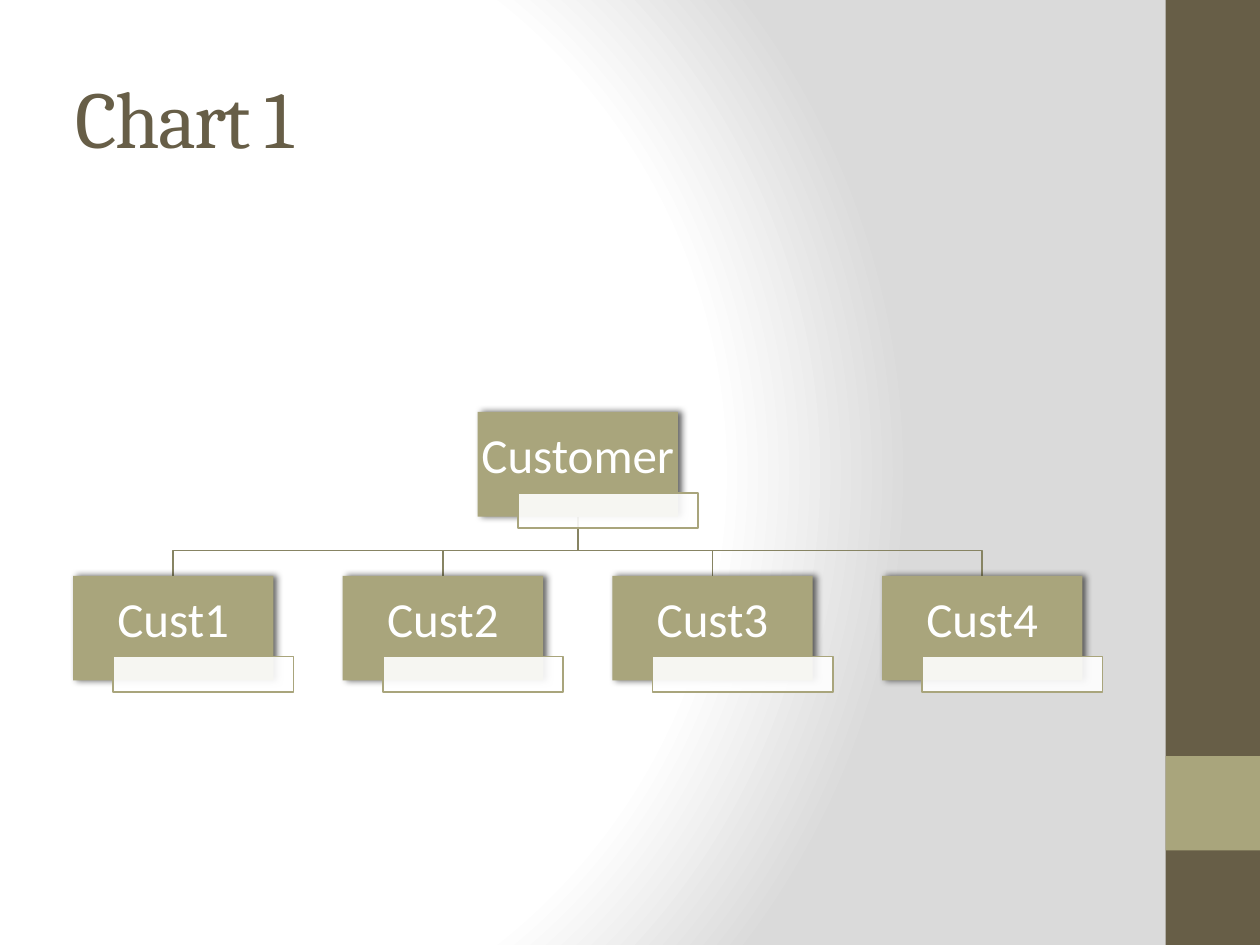
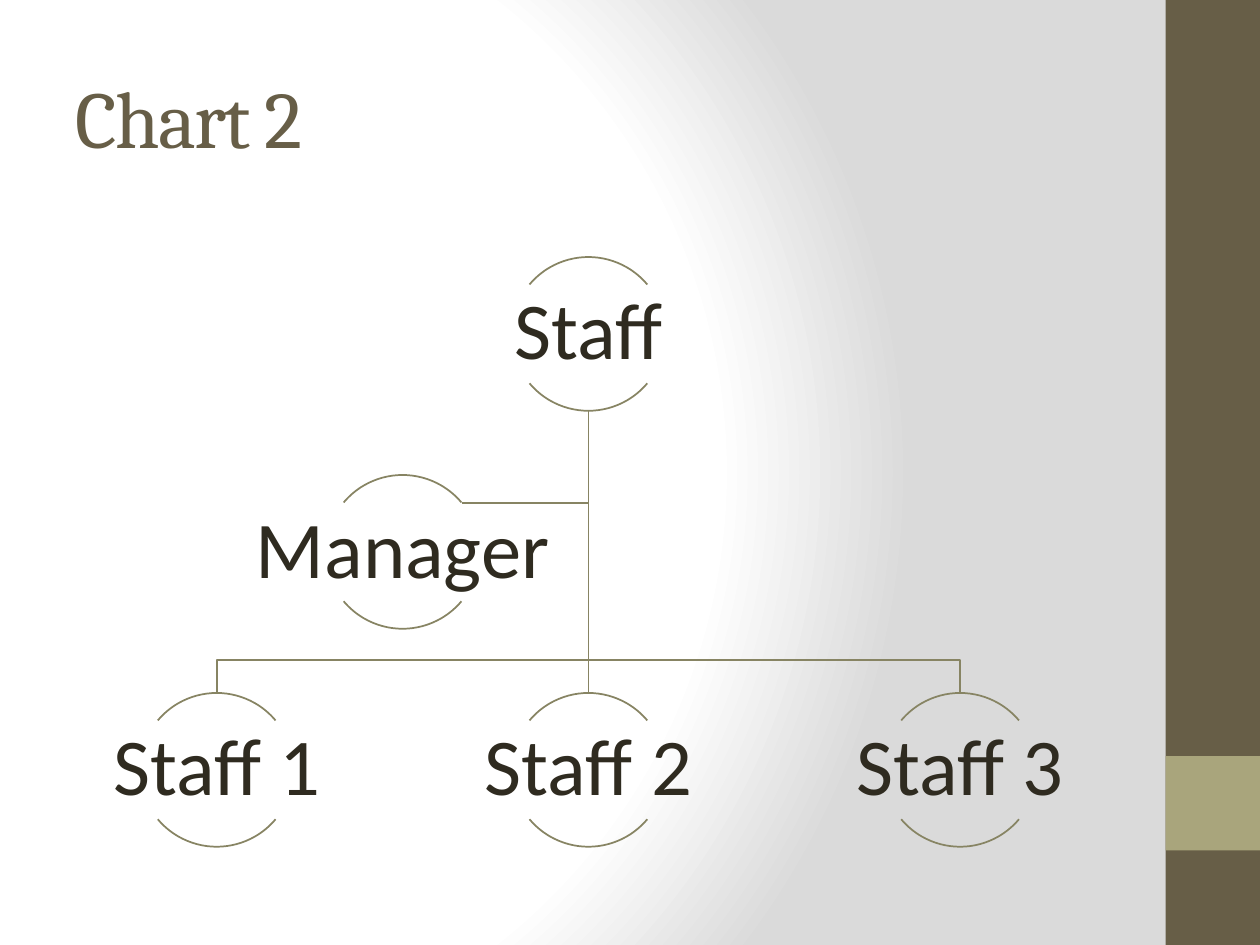
from lxml import etree
from pptx import Presentation
from pptx.dml.color import RGBColor
from pptx.enum.shapes import MSO_CONNECTOR, MSO_SHAPE as SHAPE
from pptx.enum.text import MSO_ANCHOR as ANCHOR, MSO_AUTO_SIZE, PP_ALIGN as ALIGN
from pptx.oxml import parse_xml
from pptx.oxml.ns import nsdecls, qn
from pptx.util import Inches, Pt

COLORS = {"band": "675E47", "accent": "A9A57C", "line": "878463",
          "white": "FFFFFF", "grey": "DADADA", "ink": "2F2B20", "shadow": "000000"}
HEAD_FONT, BODY_FONT = "Cambria", "Calibri"
WIDTH, HEIGHT = 10, 7.5

# Customer chart: boxes on a grid
BOX_W, BOX_H = 1.59, 0.83
BOX_LEFT, BOX_TOP, BOX_COL, BOX_ROW = 0.58, 3.27, 2.14, 1.3
TAG_DX, TAG_DY, TAG_W, TAG_H = 0.32, 0.64, 1.43, 0.28

# Staff chart: rings on a grid
RING = 1.22
RING_LEFT, RING_TOP, RING_COL, RING_ROW = 1.11, 2.04, 2.95, 1.73
NAME_W, NAME_H = 2*RING, 0.78
NAME_DY = (RING - NAME_H) / 2
ARC_END_DX = 0.47
ARCS = ((132, 192), (24, 84))  # top and bottom, in units of 100000/60000 degrees


def rgb(name):
    """Return a palette colour."""
    return RGBColor.from_string(COLORS[name])


def inches(*lengths):
    """Convert several lengths to EMU."""
    return [Inches(n) for n in lengths]


def style(sp, fill=None, line=None):
    """Set fill and outline, without the theme's shadow."""
    sp.shadow.inherit = False
    if fill:
        sp.fill.solid()
        sp.fill.fore_color.rgb = rgb(fill)
    else:
        sp.fill.background()
    if line:
        sp.line.color.rgb = rgb(line)
        sp.line.width = Pt(1)
    else:
        sp.line.fill.background()


def add_preset(slide, kind, box, fill=None, line=None):
    """Add a styled preset shape."""
    sp = slide.shapes.add_shape(kind, *inches(*box))
    style(sp, fill, line)
    return sp


def write(sp, text, size, color, font=BODY_FONT, align=ALIGN.CENTER, insets=None):
    """Write one run, anchored in the middle."""
    tf = sp.text_frame
    tf.word_wrap = True
    tf.auto_size = MSO_AUTO_SIZE.NONE
    tf.vertical_anchor = ANCHOR.MIDDLE
    if insets:
        (tf.margin_left, tf.margin_top,
         tf.margin_right, tf.margin_bottom) = inches(*insets)
    p = tf.paragraphs[0]
    p.alignment = align
    r = p.add_run()
    r.text = text
    r.font.size, r.font.name = Pt(size), font
    r.font.color.rgb = rgb(color)
    return p, r


def add_link(slide, *points):
    """Draw a bent line, or a connector when it is straight."""
    pts = [tuple(inches(*pt)) for pt in points]
    if len(pts) == 2:
        line = slide.shapes.add_connector(MSO_CONNECTOR.STRAIGHT, *pts[0], *pts[1])
        line.line.color.rgb = rgb("line")
        line.line.width = Pt(1)
        etree.SubElement(line.element.spPr, qn("a:effectLst"))
        return
    builder = slide.shapes.build_freeform(*pts[0])
    builder.add_line_segments(pts[1:], close=False)
    style(builder.convert_to_shape(), line="line")


def add_shadow(sp):
    """Give a box a soft shadow to its right."""
    effects = sp.element.spPr.find(qn("a:effectLst"))
    effects.append(parse_xml(
        f'<a:outerShdw {nsdecls("a")} blurRad="{Pt(4)}" dist="{Pt(2)}" dir="0" '
        f'rotWithShape="0"><a:srgbClr val="{COLORS["shadow"]}">'
        '<a:alpha val="60000"/></a:srgbClr></a:outerShdw>'))


def set_background(master):
    """Give the master its radial gradient."""
    master.background.fill.solid()
    bg = master.element.find(".//" + qn("p:bgPr"))
    stops = "".join(
        f'<a:gs pos="{pos * 1000}"><a:srgbClr val="{COLORS[name]}"/></a:gs>'
        for pos, name in ((0, "white"), (75, "white"), (100, "grey")))
    bg.replace(bg[0], parse_xml(
        f'<a:gradFill {nsdecls("a")} rotWithShape="1"><a:gsLst>{stops}</a:gsLst>'
        '<a:path path="circle"><a:fillToRect l="20000" t="50000" r="100000" b="50000"/>'
        '</a:path></a:gradFill>'))


def add_bands(slide, master):
    """Make the side bands and move them to the master, behind its text."""
    side = WIDTH * 0.075
    left = WIDTH - side
    bands = (((left, 0, side, HEIGHT), "band"),
             ((left, HEIGHT * 0.8, side, side), "accent"))
    for i, (box, color) in enumerate(bands):
        sp = add_preset(slide, SHAPE.RECTANGLE, box, color)
        master.shapes.element.insert(2 + i, sp.element)


def add_titled_slide(prs, title):
    """Add a title-only slide."""
    slide = prs.slides.add_slide(prs.slide_layouts[5])
    sp = slide.shapes.title
    sp.left, sp.top, sp.width, sp.height = inches(0.5, 0.3, 8.33, 1.25)
    _, r = write(sp, title, 46, "band", HEAD_FONT, ALIGN.LEFT)
    r.font._element.set("spc", "-100")
    return slide


def add_box(slide, text, col, row):
    """Add a shadowed box with its empty tag at a grid place."""
    x, y = BOX_LEFT + col*BOX_COL, BOX_TOP + row*BOX_ROW
    sp = add_preset(slide, SHAPE.RECTANGLE, (x, y, BOX_W, BOX_H), "accent")
    add_shadow(sp)
    p, _ = write(sp, text, 28, "white", insets=(0.02, 0.02, 0.02, 0.12))
    p.line_spacing = 0.9
    tag = add_preset(slide, SHAPE.RECTANGLE,
                     (x + TAG_DX, y + TAG_DY, TAG_W, TAG_H), "white", "accent")
    color = tag.element.spPr.find(qn("a:solidFill"))[0]
    etree.SubElement(color, qn("a:alpha"), val="90000")


def add_ring(slide, text, col, row):
    """Add a name between two arcs at a grid place."""
    x, y = RING_LEFT + col*RING_COL, RING_TOP + row*RING_ROW
    for start, end in ARCS:
        arc = add_preset(slide, SHAPE.ARC, (x, y, RING, RING), line="line")
        arc.adjustments[0], arc.adjustments[1] = start, end
    sp = slide.shapes.add_textbox(
        *inches(x + (RING - NAME_W)/2, y + NAME_DY, NAME_W, NAME_H))
    p, _ = write(sp, text, 46, "ink", insets=(0.03,)*4)
    p.line_spacing = 0.9


def draw_customers(slide):
    """Draw the customer and its four branches."""
    names = ("Cust1", "Cust2", "Cust3", "Cust4")
    root = (len(names) - 1) / 2
    start, end = BOX_TOP + BOX_H, BOX_TOP + BOX_ROW
    bend = end - 0.2
    first = BOX_LEFT + BOX_W/2
    mid = first + root*BOX_COL
    for col in range(len(names)):
        x = first + col*BOX_COL
        add_link(slide, (mid, start), (mid, bend), (x, bend), (x, end))
    add_box(slide, "Customer", root, 0)
    for col, name in enumerate(names):
        add_box(slide, name, col, 1)


def draw_staff(slide):
    """Draw the staff, its manager and three branches."""
    first = RING_LEFT + RING/2
    mid = first + RING_COL
    start, end = RING_TOP + RING, RING_TOP + 2*RING_ROW
    bend = end - 0.26
    side = RING_TOP + RING_ROW + NAME_DY
    add_link(slide, (mid, start), (mid, side),
             (first + RING_COL/2 + ARC_END_DX, side))
    add_link(slide, (mid, start), (mid, end))
    for x in (first, first + 2*RING_COL):
        add_link(slide, (mid, start), (mid, bend), (x, bend), (x, end))
    add_ring(slide, "Staff", 1, 0)
    for col in range(3):
        add_ring(slide, f"Staff {col + 1}", col, 2)
    add_ring(slide, "Manager", 0.5, 1)


def main():
    """Build both slides and save them."""
    prs = Presentation()
    prs.slide_width, prs.slide_height = inches(WIDTH, HEIGHT)
    set_background(prs.slide_master)
    customers = add_titled_slide(prs, "Chart 1")
    add_bands(customers, prs.slide_master)
    draw_customers(customers)
    draw_staff(add_titled_slide(prs, "Chart 2"))
    prs.save("out.pptx")


main()
